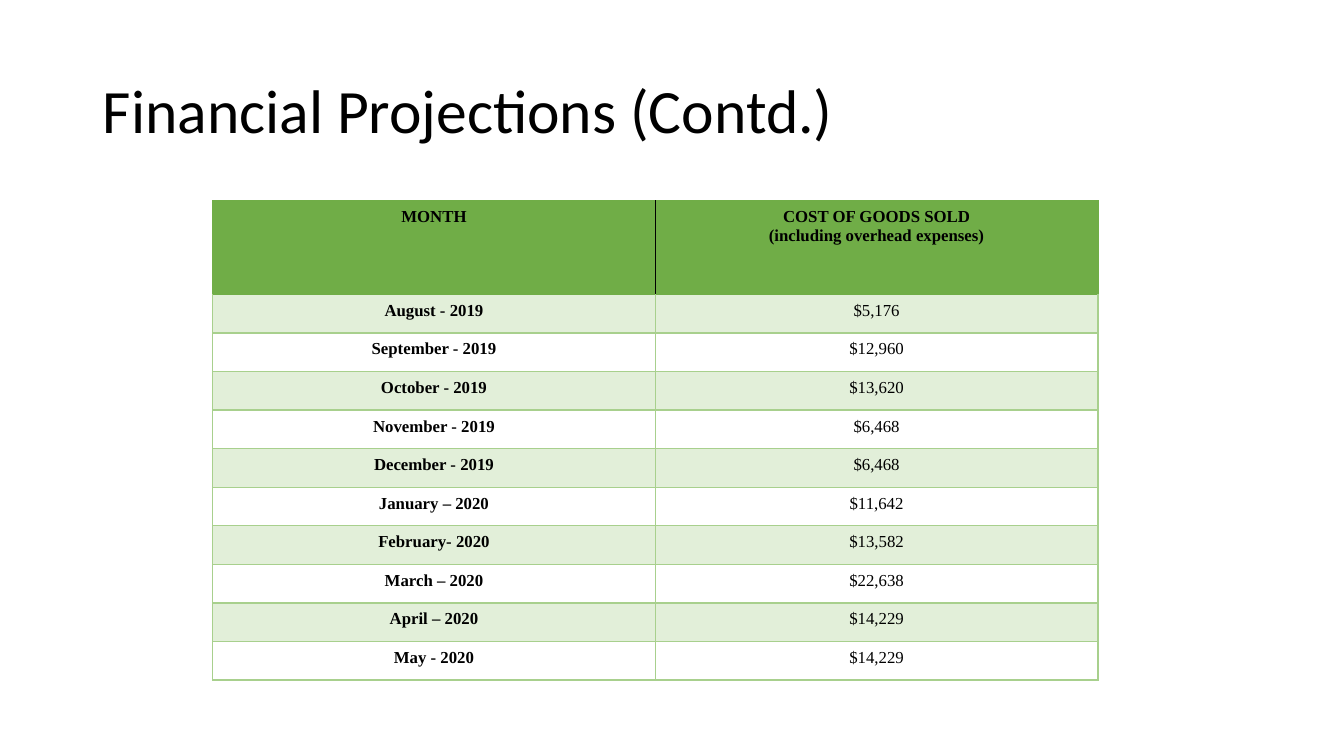
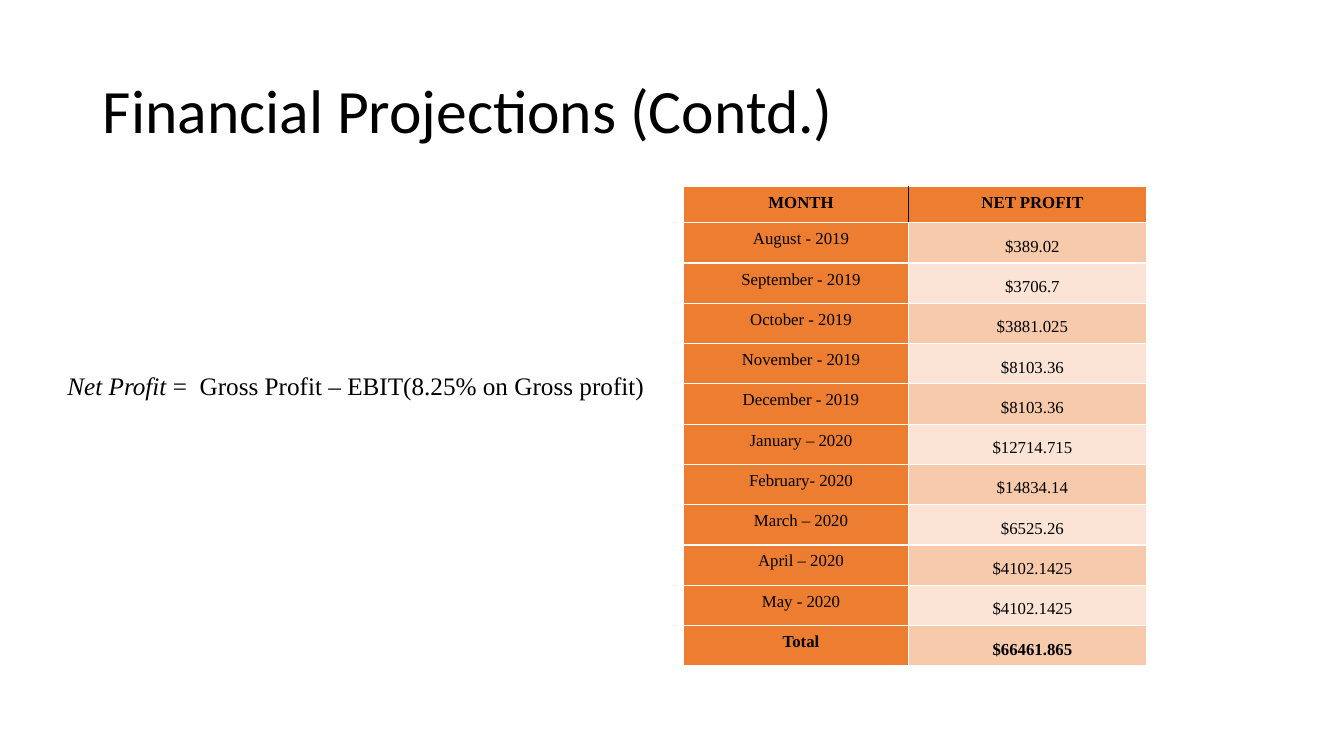
from lxml import etree
from pptx import Presentation
from pptx.dml.color import RGBColor
from pptx.enum.text import MSO_ANCHOR, MSO_AUTO_SIZE, PP_ALIGN
from pptx.oxml.ns import qn
from pptx.util import Inches, Pt

LEFT, CENTER = PP_ALIGN.LEFT, PP_ALIGN.CENTER
TOP, MIDDLE, BOTTOM = MSO_ANCHOR.TOP, MSO_ANCHOR.MIDDLE, MSO_ANCHOR.BOTTOM
TITLE_ONLY = 5

BLACK, WHITE = "000000", "FFFFFF"
GREEN, GREEN_LINE, GREEN_PALE = "70AD47", "A8D08D", "E2EFD9"
ORANGE, ORANGE_MID, ORANGE_PALE = "ED7D31", "F7CAAC", "FBE4D5"
TITLE_FONT, BODY_FONT = "Calibri", "Times New Roman"

TITLE = "Financial Projections (Contd.)"
MONTHS = [
    "August - 2019", "September - 2019", "October - 2019", "November - 2019",
    "December - 2019", "January – 2020", "February- 2020", "March – 2020",
    "April – 2020", "May - 2020",
]
COSTS = ["$5,176", "$12,960", "$13,620", "$6,468", "$6,468",
         "$11,642", "$13,582", "$22,638", "$14,229", "$14,229"]
PROFITS = ["$389.02", "$3706.7", "$3881.025", "$8103.36", "$8103.36",
           "$12714.715", "$14834.14", "$6525.26", "$4102.1425", "$4102.1425"]
FORMULA = [("Net Profit", True),
           (" =  Gross Profit – EBIT(8.25% on Gross profit)", False)]

COST_TABLE = dict(
    rows=[("MONTH", "COST OF GOODS SOLD\n(including overhead expenses)"),
          *zip(MONTHS, COSTS)],
    left=2.11, top=1.99, widths=(4.39, 4.39), header_height=0.93, height=4.76,
    header_fill=GREEN, month_fills=(GREEN_PALE, WHITE),
    value_fills=(GREEN_PALE, WHITE), grid=GREEN_LINE, header_edge=GREEN,
    bold_months=True, has_total=False, value_anchor=TOP, indent=0,
)
PROFIT_TABLE = dict(
    rows=[("MONTH", "NET PROFIT"), *zip(MONTHS, PROFITS),
          ("Total", "$66461.865")],
    left=6.78, top=1.85, widths=(2.23, 2.36), header_height=0.36, height=4.76,
    header_fill=ORANGE, month_fills=(ORANGE, ORANGE),
    value_fills=(ORANGE_MID, ORANGE_PALE), grid=WHITE, header_edge=WHITE,
    bold_months=False, has_total=True, value_anchor=BOTTOM, indent=0.1,
)


def rgb(value):
    return RGBColor.from_string(value)


def add_run(paragraph, text, size, font=BODY_FONT, bold=False, italic=False):
    run = paragraph.add_run()
    run.text = text
    run.font.name = font
    run.font.size = Pt(size)
    run.font.bold = bold
    run.font.italic = italic
    run.font.color.rgb = rgb(BLACK)


def add_titled_slide(deck):
    slide = deck.slides.add_slide(deck.slide_layouts[TITLE_ONLY])
    title = slide.shapes.title
    title.left, title.top = Inches(0.92), Inches(0.4)
    title.width, title.height = Inches(11.5), Inches(1.45)
    frame = title.text_frame
    frame.auto_size = MSO_AUTO_SIZE.NONE
    frame.vertical_anchor = MIDDLE
    paragraph = frame.paragraphs[0]
    paragraph.alignment = LEFT
    paragraph.line_spacing = 0.9
    add_run(paragraph, TITLE, 44, TITLE_FONT)
    return slide


def set_borders(cell, **edges):
    """Draw the L, R, T and B edges, each given as (colour, points)."""
    properties = cell._tc.get_or_add_tcPr()
    for side in "LRTB":
        colour, points = edges[side]
        line = etree.SubElement(properties, qn(f"a:ln{side}"), w=str(Pt(points)))
        fill = etree.SubElement(line, qn("a:solidFill"))
        etree.SubElement(fill, qn("a:srgbClr"), val=colour)


def fill_cell(cell, text, fill, bold, anchor, indent):
    cell.fill.solid()
    cell.fill.fore_color.rgb = rgb(fill)
    cell.vertical_anchor = anchor
    cell.margin_left = cell.margin_right = Inches(0.07)
    cell.margin_top = cell.margin_bottom = Inches(0.07)
    frame = cell.text_frame
    for number, words in enumerate(text.split("\n")):
        paragraph = frame.add_paragraph() if number else frame.paragraphs[0]
        paragraph.alignment = CENTER
        paragraph._p.get_or_add_pPr().set("marL", str(Inches(indent)))
        add_run(paragraph, words, 12, bold=bold)


def add_month_table(slide, rows, left, top, widths, header_height, height,
                    header_fill, month_fills, value_fills, grid, header_edge,
                    bold_months, has_total, value_anchor, indent):
    table = slide.shapes.add_table(
        len(rows), len(widths), Inches(left), Inches(top),
        Inches(sum(widths)), Inches(height)).table
    table.first_row = table.horz_banding = False
    for column, width in zip(table.columns, widths):
        column.width = Inches(width)
    row_height = Inches((height - header_height) / (len(rows) - 1))

    grid_line, edge_line, divider = (grid, 1), (header_edge, 1), (BLACK, 0.75)
    for r, texts in enumerate(rows):
        is_header = r == 0
        is_total = has_total and r == len(rows) - 1
        table.rows[r].height = Inches(header_height) if is_header else row_height
        for c, text in enumerate(texts):
            is_month = c == 0
            cell = table.cell(r, c)
            if is_header:
                set_borders(cell, T=edge_line, B=edge_line,
                            L=edge_line if is_month else divider,
                            R=divider if is_month else edge_line)
                fill, anchor = header_fill, TOP
            else:
                set_borders(cell, L=grid_line, R=grid_line, B=grid_line,
                            T=edge_line if r == 1 else grid_line)
                fill = (month_fills if is_month else value_fills)[(r - 1) % 2]
                anchor = TOP if is_month else value_anchor
            bold = is_header or is_total or (is_month and bold_months)
            fill_cell(cell, text, fill, bold, anchor, indent)


def add_formula(slide):
    box = slide.shapes.add_textbox(
        Inches(0.57), Inches(3.62), Inches(5.98), Inches(0.4))
    frame = box.text_frame
    frame.word_wrap = False
    frame.auto_size = MSO_AUTO_SIZE.SHAPE_TO_FIT_TEXT
    for text, italic in FORMULA:
        add_run(frame.paragraphs[0], text, 18, italic=italic)


def main():
    deck = Presentation()
    deck.slide_width, deck.slide_height = Inches(13.33), Inches(7.5)
    add_month_table(add_titled_slide(deck), **COST_TABLE)
    profit_slide = add_titled_slide(deck)
    add_month_table(profit_slide, **PROFIT_TABLE)
    add_formula(profit_slide)
    deck.save("out.pptx")


if __name__ == "__main__":
    main()
